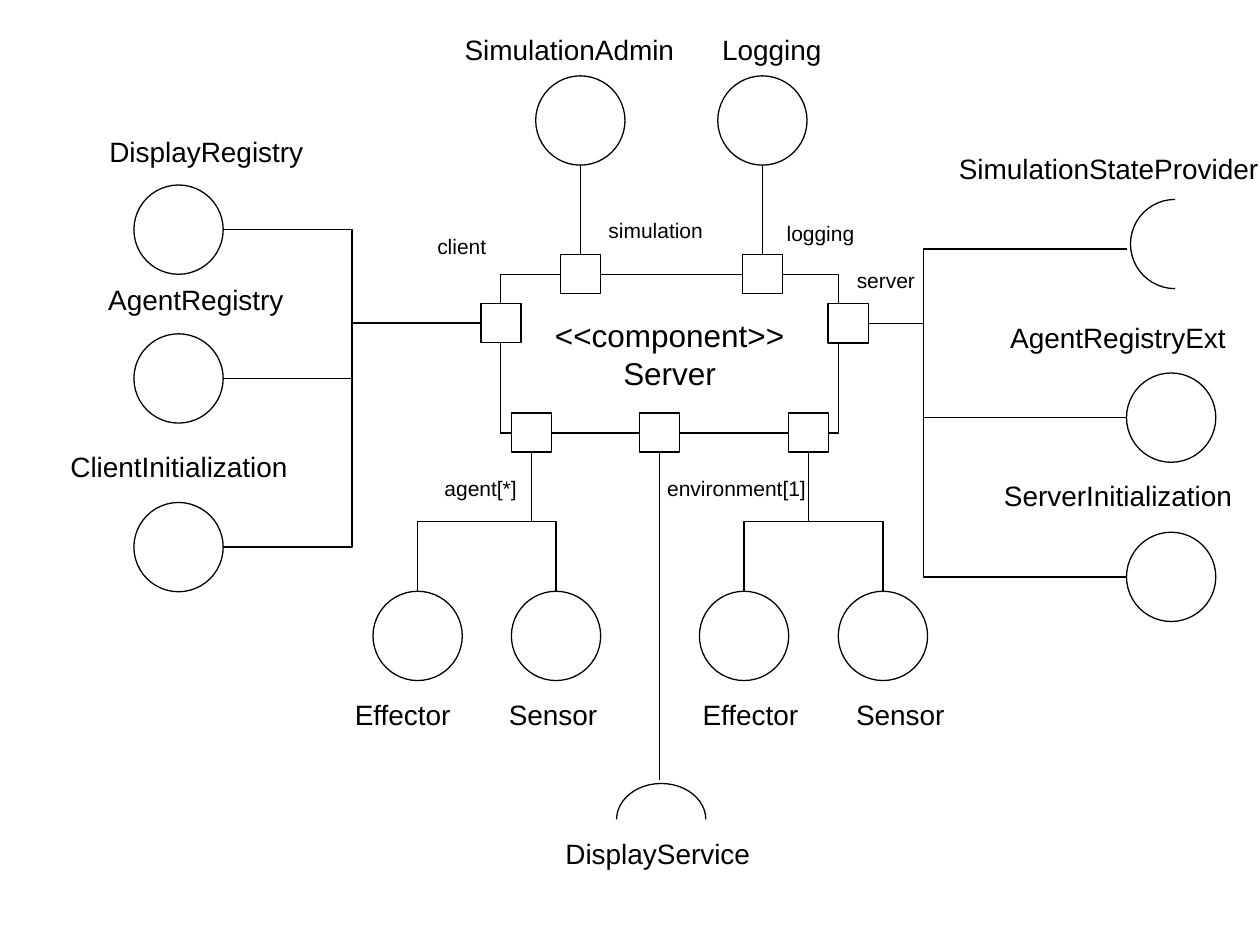
from dataclasses import dataclass

from lxml import etree
from pptx import Presentation
from pptx.dml.color import RGBColor
from pptx.enum.shapes import MSO_CONNECTOR, MSO_SHAPE
from pptx.enum.text import MSO_ANCHOR, MSO_AUTO_SIZE, PP_ALIGN
from pptx.oxml.ns import qn
from pptx.util import Cm, Pt

RECTANGLE, OVAL, ARC = MSO_SHAPE.RECTANGLE, MSO_SHAPE.OVAL, MSO_SHAPE.ARC
STRAIGHT, ELBOW = MSO_CONNECTOR.STRAIGHT, MSO_CONNECTOR.ELBOW
CENTER = PP_ALIGN.CENTER
TOP, MIDDLE = MSO_ANCHOR.TOP, MSO_ANCHOR.MIDDLE
FIXED, GROW = MSO_AUTO_SIZE.NONE, MSO_AUTO_SIZE.SHAPE_TO_FIT_TEXT
TOP_SIDE, BOTTOM_SIDE = 0, 2


@dataclass(frozen=True)
class Theme:
    ink: RGBColor = RGBColor(0, 0, 0)
    paper: RGBColor = RGBColor(255, 255, 255)
    font: str = "Arial"
    title: int = 18
    interface: int = 16
    port: int = 12
    line: float = 0.75


theme = Theme()


def write(holder, text, size, anchor=TOP, fit=GROW):
    frame = holder.text_frame
    frame.text = text
    frame.word_wrap = False
    frame.auto_size = fit
    frame.vertical_anchor = anchor
    for paragraph in frame.paragraphs:
        paragraph.alignment = CENTER
        paragraph.font.size = Pt(size)
        paragraph.font.name = theme.font
        paragraph.font.color.rgb = theme.ink


def draw(preset, x, y, width, height):
    shape = slide.shapes.add_shape(
        preset, Cm(x - width / 2), Cm(y - height / 2), Cm(width), Cm(height))
    shape.shadow.inherit = False
    if preset == ARC:
        shape.fill.background()
    else:
        shape.fill.solid()
        shape.fill.fore_color.rgb = theme.paper
    shape.line.color.rgb = theme.ink
    shape.line.width = Pt(theme.line)
    return shape


deck = Presentation()
deck.slide_width, deck.slide_height = Cm(25.4), Cm(19.05)
slide = deck.slides.add_slide(deck.slide_layouts[6])

component = draw(RECTANGLE, 13.5, 7.13, 6.81, 3.2)
write(component, "<<component>>\nServer", size=theme.title, anchor=MIDDLE, fit=FIXED)

port_width, port_height = 0.81, 0.79
port_centers = {
    "client": (10.1, 6.51), "server": (17.1, 6.52),
    "simulation": (11.7, 5.52), "logging": (15.37, 5.52),
    "agent": (10.72, 8.72), "display": (13.3, 8.72), "environment": (16.3, 8.72),
}
ports = {name: draw(RECTANGLE, x, y, port_width, port_height)
         for name, (x, y) in port_centers.items()}

diameter = 1.8
radius = diameter / 2
client_x, client_rows = 3.6, (4.63, 7.63, 11.03)
server_x, server_rows = 23.61, (8.42, 11.63)
admin_y, state_line_y = 2.43, 5.02
device_y, device_columns = 12.82, {"agent": (8.42, 11.21), "environment": (15, 17.8)}

interfaces = [(client_x, y) for y in client_rows]
interfaces += [(server_x, y) for y in server_rows]
interfaces += [(port_centers[name][0], admin_y) for name in ("simulation", "logging")]
interfaces += [(x, device_y) for columns in device_columns.values() for x in columns]
for x, y in interfaces:
    draw(OVAL, x, y, diameter, diameter)

for x, y, height, start, end in [(23.69, 4.92, diameter, 90, 270),
                                 (13.33, 16.52, 1.45, 180, 0)]:
    socket = draw(ARC, x, y, diameter, height)
    socket.adjustments[0] = start * 0.6
    socket.adjustments[1] = end * 0.6

links = []
for name, side, end_y in [("simulation", TOP_SIDE, admin_y + radius),
                          ("logging", TOP_SIDE, admin_y + radius),
                          ("display", BOTTOM_SIDE, 15.72)]:
    x, y = port_centers[name]
    link = slide.shapes.add_connector(STRAIGHT, Cm(x), Cm(y), Cm(x), Cm(end_y))
    link.begin_connect(ports[name], side)
    link.end_x = link.begin_x
    links.append(link)

for name, direction, end_x, rows, bend in [
        ("client", -1, client_x + radius, client_rows, 50000),
        ("server", 1, server_x - radius, (state_line_y, *server_rows), 21300)]:
    x, y = port_centers[name]
    for row in rows:
        link = slide.shapes.add_connector(
            ELBOW, Cm(x + direction * port_width / 2), Cm(y), Cm(end_x), Cm(row))
        guides = link._element.spPr.find(qn("a:prstGeom")).find(qn("a:avLst"))
        etree.SubElement(guides, qn("a:gd"), name="adj1", fmla=f"val {bend}")
        links.append(link)

for name, columns in device_columns.items():
    x, y = port_centers[name]
    start_y, end_y = y + port_height / 2, device_y - radius
    middle_y, half_drop = (start_y + end_y) / 2, (end_y - start_y) / 2
    for column in columns:
        middle_x, half_shift = (x + column) / 2, (column - x) / 2
        link = slide.shapes.add_connector(
            ELBOW, Cm(middle_x - half_drop), Cm(middle_y + half_shift),
            Cm(middle_x + half_drop), Cm(middle_y - half_shift))
        link._element.spPr.find(qn("a:xfrm")).set("rot", "5400000")
        links.append(link)

for link in links:
    link.line.color.rgb = theme.ink
    link.line.width = Pt(theme.line)
    etree.SubElement(link._element.spPr, qn("a:effectLst"))

interface_labels = [
    ("DisplayRegistry", 4.16, 2.59, 4.45),
    ("AgentRegistry", 3.95, 5.57, 4.05),
    ("ClientInitialization", 3.61, 8.93, 4.95),
    ("SimulationAdmin", 11.48, 0.53, 4.8),
    ("Logging", 15.56, 0.53, 2.55),
    ("SimulationStateProvider", 22.35, 2.93, 6.6),
    ("AgentRegistryExt", 22.54, 6.33, 4.9),
    ("ServerInitialization", 22.54, 9.53, 5.15),
    ("Effector", 8.12, 13.93, 2.5),
    ("Sensor", 11.15, 13.93, 2.35),
    ("Effector", 15.13, 13.93, 2.5),
    ("Sensor", 18.15, 13.93, 2.35),
    ("DisplayService", 13.26, 16.74, 4.3),
]
port_labels = [
    ("client", 9.31, 4.58, 1.55),
    ("server", 17.86, 5.26, 1.7),
    ("simulation", 13.22, 4.27, 2.45),
    ("logging", 16.54, 4.32, 1.9),
    ("agent[*]", 9.69, 9.47, 2),
    ("environment[1]", 14.85, 9.47, 3.35),
]
for labels, size, height in [(interface_labels, theme.interface, 0.94),
                             (port_labels, theme.port, 0.76)]:
    for text, x, top, width in labels:
        label = slide.shapes.add_textbox(Cm(x - width / 2), Cm(top), Cm(width), Cm(height))
        write(label, text, size=size)

deck.save("out.pptx")
